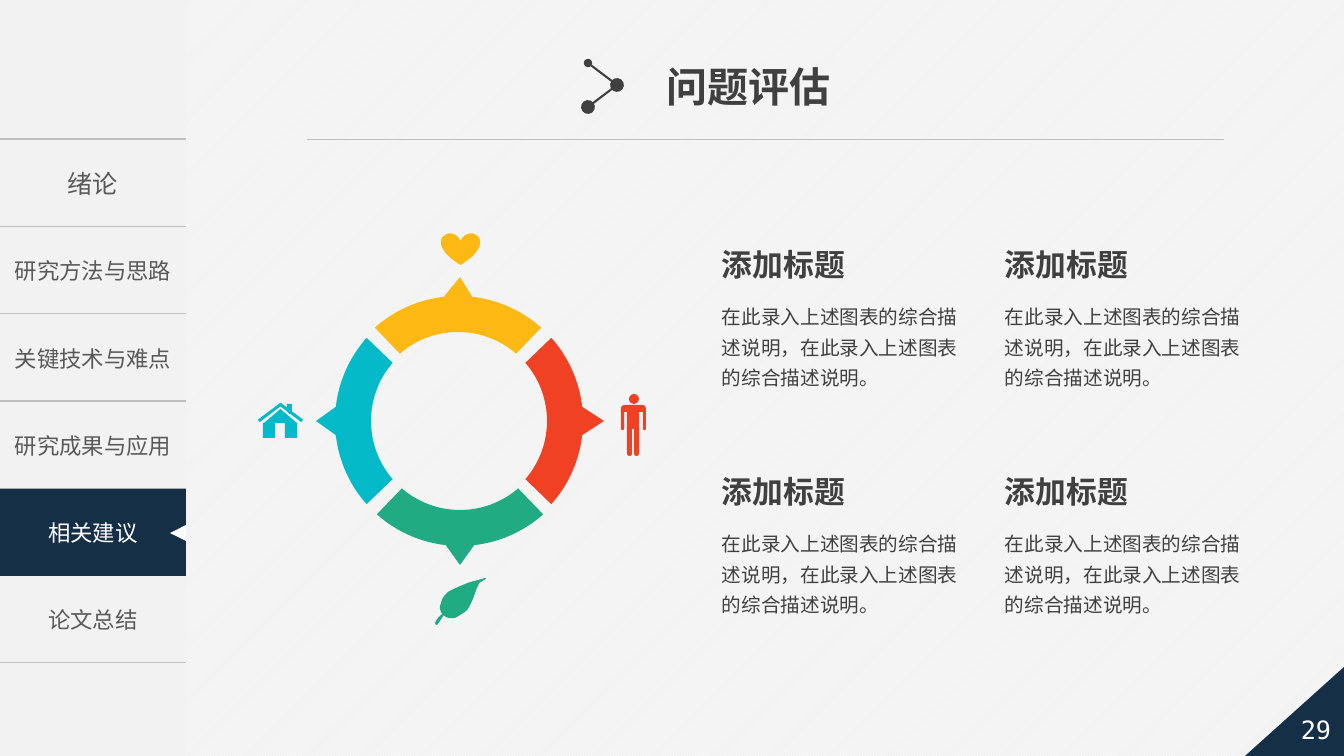
import math

import pptx
import pptx.dml.color
import pptx.enum.dml
import pptx.enum.shapes
import pptx.enum.text
import pptx.oxml.ns
import pptx.util
from lxml import etree

RGBColor = pptx.dml.color.RGBColor
NAVY = RGBColor(0x15, 0x2F, 0x47)
PALE = RGBColor(0xF2, 0xF2, 0xF2)
WHITE = RGBColor(0xFF, 0xFF, 0xFF)
RULE = RGBColor(0xBF, 0xBF, 0xBF)
GRAY = RGBColor(0x59, 0x59, 0x59)
DARK = RGBColor(0x40, 0x40, 0x40)
RED = RGBColor(0xF1, 0x41, 0x24)
TEAL = RGBColor(0x05, 0xBA, 0xC8)
GREEN = RGBColor(0x21, 0xAB, 0x82)
YELLOW = RGBColor(0xFC, 0xB8, 0x13)

SANS = "Noto Sans CJK SC"
SHAPE = pptx.enum.shapes.MSO_SHAPE
ALIGN = pptx.enum.text.PP_ALIGN
MIDDLE = pptx.enum.text.MSO_ANCHOR.MIDDLE
GROW = pptx.enum.text.MSO_AUTO_SIZE.SHAPE_TO_FIT_TEXT
EMU_PER_PX = 12192000 / 1344

CHAPTERS = ["绪论", "研究方法与思路", "关键技术与难点", "研究成果与应用", "相关建议", "论文总结"]
CURRENT = 4
HEADING = "添加标题"
DETAIL = "在此录入上述图表的综合描述说明，在此录入上述图表的综合描述说明。"

# Outlines: two numbers make a straight step, six a Bezier step.
LEAF_BLADE = [(6, 34), (5, 31, 4, 30, 6, 25), (7, 20, 10, 17, 13, 14),
              (16, 12, 27, 7, 33, 5), (39, 3, 48, 1, 50, 0), (52, 0, 47, 3, 45, 4),
              (44, 4, 44, 5, 42, 8), (41, 11, 39, 19, 37, 23), (34, 28, 32, 32, 29, 34),
              (26, 37, 22, 39, 19, 40), (16, 41, 13, 40, 11, 39), (9, 38, 8, 37, 6, 34)]
LEAF_STEM = [(10, 35), (10, 36, 6, 41, 5, 43), (3, 45, 3, 47, 2, 47), (1, 47, 0, 46, 0, 45),
             (0, 44, 2, 42, 3, 40), (5, 38, 8, 35, 9, 34), (10, 34, 11, 33, 10, 35)]
LEAF_HALF = [(51, 0), (53, 0, 47, 3, 46, 4), (45, 4, 44, 5, 43, 8), (41, 11, 39, 19, 37, 23),
             (35, 28, 33, 32, 30, 34), (25, 37), (20, 40), (16, 40), (25, 9), (28, 8),
             (30, 6, 31, 6, 33, 5), (39, 3, 49, 1, 51, 0)]
LEAF_VEIN = [(8, 34), (10, 32, 15, 26, 18, 23), (21, 20, 27, 16, 27, 16),
             (28, 16, 23, 20, 21, 22), (19, 25, 15, 28, 13, 31), (11, 33, 10, 35, 9, 36),
             (8, 36, 7, 36, 8, 34)]


def px(n):
    return pptx.util.Emu(round(n * EMU_PER_PX))


def sub(parent, tag, **attrs):
    return etree.SubElement(parent, pptx.oxml.ns.qn(tag), attrs)


def paint(shape, color):
    shape.shadow.inherit = False
    shape.fill.solid()
    shape.fill.fore_color.rgb = color
    shape.line.fill.background()
    return shape


def add_block(s, kind, x, y, w, h, color, rotation=0):
    sp = paint(s.shapes.add_shape(kind, px(x), px(y), px(w), px(h)), color)
    sp.rotation = rotation
    return sp


def add_outline(s, x, y, steps, color):
    """Draw straight and Bezier steps relative to x, y."""
    points = [(px(x + step[i]), px(y + step[i + 1]))
              for step in steps for i in range(0, len(step), 2)]
    builder = s.shapes.build_freeform(*points[0])
    builder.add_line_segments(points[1:], close=True)
    sp = paint(builder.convert_to_shape(), color)
    lines = iter(list(sp._element.spPr.iter(pptx.oxml.ns.qn("a:lnTo"))))
    for step in steps[1:]:
        group = [next(lines) for _ in range(len(step) // 2)]
        if len(group) == 3:
            outline = group[0].getparent()
            curve = sub(outline, "a:cubicBezTo")
            group[0].addprevious(curve)
            for line in group:
                curve.append(line[0])
                outline.remove(line)


def add_line(s, x1, y1, x2, y2, color, width):
    line = s.shapes.add_connector(pptx.enum.shapes.MSO_CONNECTOR.STRAIGHT,
                                  px(x1), px(y1), px(x2), px(y2))
    line.line.color.rgb = color
    line.line.width = pptx.util.Pt(width)
    sub(line._element.spPr, "a:effectLst")
    return line


def set_text(tf, text, size, color, bold=False, font=SANS, align=ALIGN.LEFT):
    tf.text = text
    p = tf.paragraphs[0]
    p.alignment = align
    r = p.runs[0]
    r.font.size = pptx.util.Pt(size)
    r.font.bold = bold
    r.font.color.rgb = color
    r.font.name = font
    sub(r._r.get_or_add_rPr(), "a:ea", typeface=font)
    return p


def add_text(s, x, y, w, h, text, size, color, wrap=False, **style):
    tf = s.shapes.add_textbox(px(x), px(y), px(w), px(h)).text_frame
    tf.word_wrap = wrap
    tf.auto_size = GROW
    return set_text(tf, text, size, color, **style)


def add_title(s, x, y, w, h):
    title = s.shapes.title
    title.left, title.top, title.width, title.height = px(x), px(y), px(w), px(h)
    tf = title.text_frame
    tf.word_wrap = False
    tf.auto_size = GROW
    tf.vertical_anchor = MIDDLE
    set_text(tf, "问题评估", 29.3, DARK, bold=True, font="Arial")


def add_title_mark(s, x, y, w, h):
    """Two joined lines with dots at their ends."""
    joints = [(x, y), (x + w, y + h // 2), (x, y + h)]
    for start, end in zip(joints, joints[1:]):
        ln = add_line(s, *start, *end, DARK, 1.5).line._get_or_add_ln()
        sub(ln, "a:headEnd", type="oval", w="med", len="med")
        sub(ln, "a:tailEnd", type="oval", w="lg", len="lg")


def add_sidebar(s, x, y, w, h):
    rows = len(CHAPTERS)
    menu_top, row_h = y + 139, 524 / len(CHAPTERS)
    add_block(s, SHAPE.RECTANGLE, x, y, w, h, PALE)
    table = s.shapes.add_table(rows, 1, px(x), px(menu_top), px(w), px(rows * row_h)).table
    table.first_row = table.horz_banding = False
    for i, chapter in enumerate(CHAPTERS):
        table.rows[i].height = px(row_h)
        cell = table.cell(i, 0)
        cell.vertical_anchor = MIDDLE
        set_text(cell.text_frame, chapter, 16 if i else 18, GRAY, align=ALIGN.CENTER)
        tc_pr = cell._tc.get_or_add_tcPr()
        for side in ("a:lnL", "a:lnR"):
            sub(sub(tc_pr, side, w="0"), "a:noFill")
        for side in ("a:lnT", "a:lnB"):
            fill = sub(sub(tc_pr, side, w="12700"), "a:solidFill")
            sub(fill, "a:srgbClr", val=str(RULE))
        cell.fill.background()
    tab_top = menu_top + round(CURRENT * row_h) + 1
    tab = add_block(s, SHAPE.RECTANGLE, x, tab_top, w, 87, NAVY)
    tab.text_frame.vertical_anchor = MIDDLE
    set_text(tab.text_frame, CHAPTERS[CURRENT], 16, WHITE, align=ALIGN.CENTER)
    add_block(s, SHAPE.ISOSCELES_TRIANGLE, x + w - 16, tab_top + 36, 16, 16, WHITE, 270)


def add_page_corner(s, x, y, w, h):
    corner = add_block(s, SHAPE.RIGHT_TRIANGLE, x, y, w, h, NAVY)
    corner._element.spPr.get_or_add_xfrm().set("flipH", "1")
    add_text(s, x + 43, y + 42, 56, 46, "29", 18, WHITE,
             font="DejaVu Sans Mono", align=ALIGN.CENTER)


def add_ring(s, cx, cy, outer, inner, tip):
    """Four arc segments, each with a pointer facing outwards."""
    def polar(radius, degrees):
        a = math.radians(degrees)
        return radius * math.cos(a), radius * math.sin(a)

    def arc(radius, start, end):
        (x1, y1), (x2, y2) = polar(radius, start), polar(radius, end)
        k = 4 / 3 * math.tan(math.radians(end - start) / 4)
        return [(x1, y1), (x1 - k * y1, y1 + k * x1, x2 + k * y2, y2 - k * x2, x2, y2)]

    for axis, color, shift in ((0, RED, -2), (180, TEAL, 0), (90, GREEN, 0), (270, YELLOW, -2)):
        tip_x, tip_y = polar(tip, axis)
        steps = arc(outer, axis - 41.7, axis - 6.5) + [(tip_x - shift, tip_y)]
        steps += arc(outer, axis + 6.5, axis + 41.7) + arc(inner, axis + 40.8, axis - 40.8)
        add_outline(s, cx + shift, cy, steps, color)


def add_person(s, x, y):
    add_block(s, SHAPE.OVAL, x + 8, y, 10, 10, RED)
    add_block(s, SHAPE.RECTANGLE, x + 6, y + 18, 12, 17, RED)
    limbs = [(0, 11, 25, 7, 0), (6, 34, 5, 28, 180), (13, 34, 5, 28, 180),
             (0, 16, 3, 20, 180), (22, 16, 3, 20, 180)]
    for dx, dy, w, h, turn in limbs:
        limb = add_block(s, SHAPE.ROUND_2_SAME_RECTANGLE, x + dx, y + dy, w, h, RED, turn)
        limb.adjustments[0] = 0.5


def add_house(s, x, y):
    for dx, turn in ((0, 323), (21, 37)):
        add_block(s, SHAPE.RECTANGLE, x + dx, y + 7, 28, 3, TEAL, turn)
    add_block(s, SHAPE.ISOSCELES_TRIANGLE, x + 8, y + 5, 33, 14, TEAL)
    for dx in (7, 29):
        add_block(s, SHAPE.RECTANGLE, x + dx, y + 19, 12, 15, TEAL)
    chimney = add_block(s, SHAPE.SNIP_1_RECTANGLE, x + 31, y, 5, 10, TEAL, 180)
    chimney.adjustments[0] = 0.5


def add_detail(s, x, y):
    add_text(s, x, y, 145, 47, HEADING, 22, DARK, bold=True)
    add_text(s, x, y + 52, 266, 103, DETAIL, 14, DARK, wrap=True).line_spacing = 1.3


def main():
    prs = pptx.Presentation()
    prs.slide_width, prs.slide_height = px(1344), px(756)
    s = prs.slides.add_slide(prs.slide_layouts[5])
    backdrop = s.background.fill
    backdrop.patterned()
    backdrop.pattern = pptx.enum.dml.MSO_PATTERN.LIGHT_UPWARD_DIAGONAL
    backdrop.fore_color.rgb = WHITE
    backdrop.back_color.rgb = PALE

    add_sidebar(s, 0, 0, 186, 756)
    add_line(s, 307, 139, 1224, 139, RULE, 0.5)
    add_page_corner(s, 1245, 667, 99, 89)
    add_title(s, 656, 56, 186, 60)
    add_title_mark(s, 588, 63, 29, 44)
    add_ring(s, 460, 421, 125, 89, 144)
    add_block(s, SHAPE.HEART, 441, 233, 39, 32, YELLOW)
    add_person(s, 621, 394)
    add_house(s, 256, 404)
    for part in (LEAF_BLADE, LEAF_STEM, LEAF_HALF, LEAF_VEIN):
        add_outline(s, 435, 578, part, GREEN)
    for y in (241, 468):
        for x in (712, 995):
            add_detail(s, x, y)
    prs.save("out.pptx")


if __name__ == "__main__":
    main()
